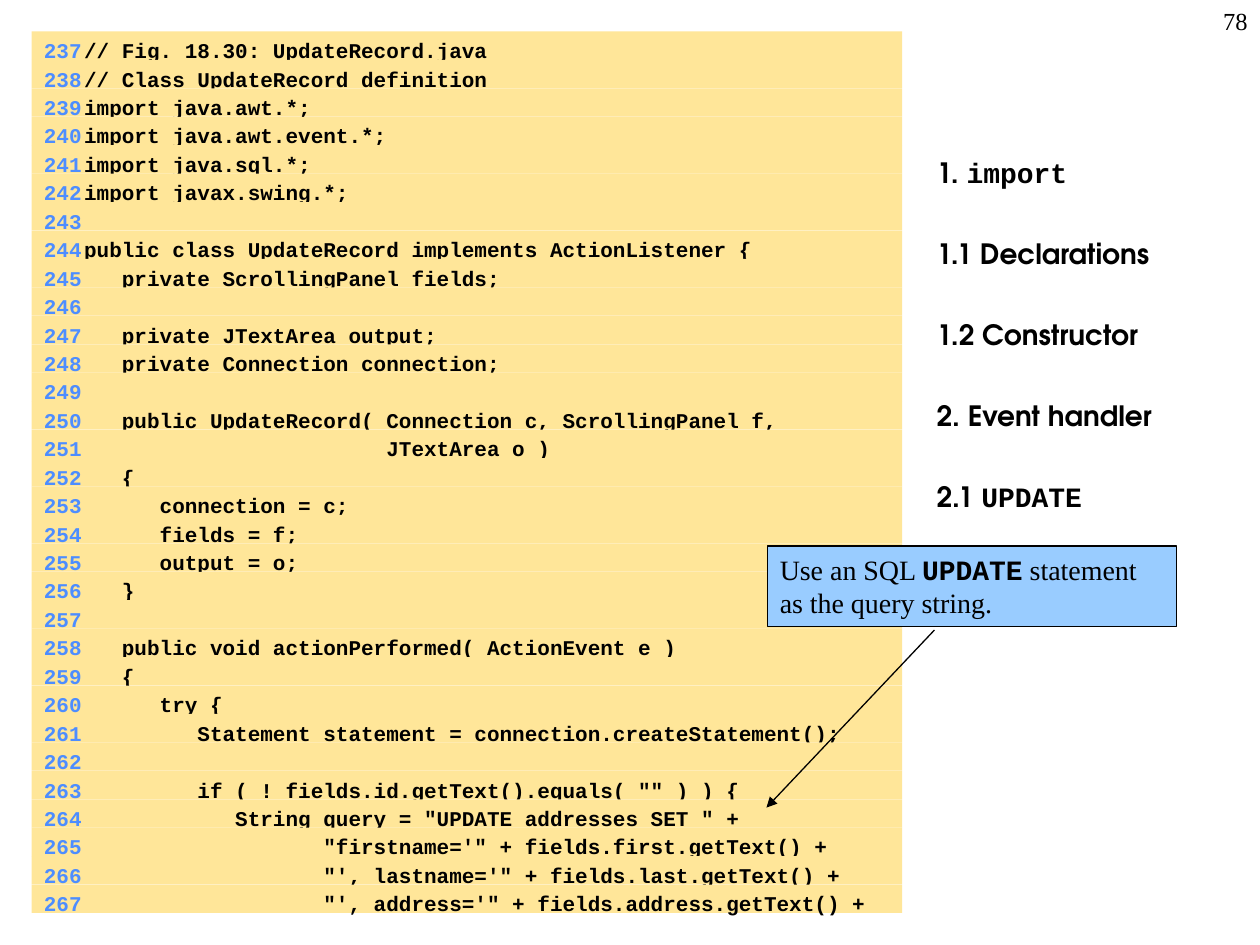
from pptx import Presentation
from pptx.dml.color import RGBColor as RGB
from pptx.enum.shapes import MSO_CONNECTOR as LINE, MSO_SHAPE as SHAPE
from pptx.enum.text import MSO_ANCHOR as ANCHOR, MSO_AUTO_SIZE as FIT, PP_ALIGN as ALIGN
from pptx.oxml.ns import qn
from pptx.util import Pt
from lxml import etree

INK = {"black": "000000", "number": "4D8DFF", "code": "FFE699", "note": "99CCFF"}
MONO, SANS, SERIF = "Courier New", "TeX Gyre Adventor", "Times New Roman"
FIRST = 237
CODE = [
    "// Fig. 18.30: UpdateRecord.java",
    "// Class UpdateRecord definition",
    "import java.awt.*;",
    "import java.awt.event.*;",
    "import java.sql.*;",
    "import javax.swing.*;",
    "",
    "public class UpdateRecord implements ActionListener {",
    "   private ScrollingPanel fields;",
    "",
    "   private JTextArea output;",
    "   private Connection connection;",
    "",
    "   public UpdateRecord( Connection c, ScrollingPanel f,",
    "                        JTextArea o )",
    "   {",
    "      connection = c;",
    "      fields = f;",
    "      output = o;",
    "   }",
    "",
    "   public void actionPerformed( ActionEvent e )",
    "   {",
    "      try {",
    "         Statement statement = connection.createStatement();",
    "",
    '         if ( ! fields.id.getText().equals( "" ) ) {',
    '            String query = "UPDATE addresses SET " +',
    """                   "firstname='" + fields.first.getText() +""",
    """                   "', lastname='" + fields.last.getText() +""",
    """                   "', address='" + fields.address.getText() +""",
]
TOPICS = [
    [("1. ", SANS), ("import", MONO)],
    [("1.1 Declarations", SANS)],
    [("1.2 Constructor", SANS)],
    [("2. Event handler", SANS)],
    [("2.1 ", SANS), ("UPDATE", MONO)],
]


def write(para, text, face, size, bold=False, color="black"):
    run = para.add_run()
    run.text = text
    run.font.name = face
    run.font.size = Pt(size)
    run.font.bold = bold
    run.font.color.rgb = RGB.from_string(INK[color])


def panel(left, top, width, height, color):
    box = slide.shapes.add_shape(SHAPE.RECTANGLE, Pt(left), Pt(top), Pt(width), Pt(height))
    box.shadow.inherit = False
    box.fill.solid()
    box.fill.fore_color.rgb = RGB.from_string(INK[color])
    box.line.fill.background()
    box.text_frame.vertical_anchor = ANCHOR.TOP
    box.text_frame.word_wrap = True
    para = box.text_frame.paragraphs[0]
    para.alignment = ALIGN.LEFT
    return box, para


deck = Presentation()
deck.slide_width, deck.slide_height = Pt(720), Pt(540)
slide = deck.slides.add_slide(deck.slide_layouts[0])
title = slide.shapes.title.element
title.getparent().remove(title)

topics = slide.placeholders[1]
topics.left, topics.top, topics.width, topics.height = Pt(528), Pt(60), Pt(192), Pt(480)
frame = topics.text_frame
frame.auto_size = FIT.NONE
frame.vertical_anchor = ANCHOR.TOP
frame.margin_top = Pt(28)
for i, parts in enumerate(TOPICS):
    para = frame.add_paragraph() if i else frame.paragraphs[0]
    para.alignment = ALIGN.LEFT
    para.line_spacing = Pt(20)
    para.space_before = Pt(26.3 if i else 0)
    for text, face in parts:
        write(para, text, face, 16, True)

for i, code in enumerate(CODE):
    row, para = panel(18, 18 + i * 16.25, 497.5, 16.2, "code")
    tabs = etree.SubElement(para._p.get_or_add_pPr(), qn("a:tabLst"))
    for spot, side in ((10.8, "r"), (23, "l")):
        etree.SubElement(tabs, qn("a:tab"), pos=str(Pt(spot)), algn=side)
    write(para, f"\t{FIRST + i}\t", MONO, 12, True, "number")
    if code:
        write(para, code, MONO, 12, True)

note, para = panel(438.5, 312, 234, 46, "note")
note.line.color.rgb = RGB.from_string(INK["black"])
note.line.width = Pt(0.75)
write(para, "Use an SQL ", SERIF, 16)
write(para, "UPDATE", MONO, 16, True)
write(para, " statement as the query string.", SERIF, 16)

arrow = slide.shapes.add_connector(LINE.STRAIGHT, Pt(534), Pt(360), Pt(438), Pt(461.5))
arrow.line.color.rgb = RGB.from_string(INK["black"])
arrow.line.width = Pt(0.75)
etree.SubElement(arrow.line._get_or_add_ln(), qn("a:tailEnd"), type="triangle")
etree.SubElement(arrow._element.spPr, qn("a:effectLst"))

page = slide.shapes.add_textbox(Pt(570), Pt(0), Pt(150), Pt(36))
page.text_frame.word_wrap = True
para = page.text_frame.paragraphs[0]
para.alignment = ALIGN.RIGHT
write(para, "78", SERIF, 14)

deck.save("out.pptx")
